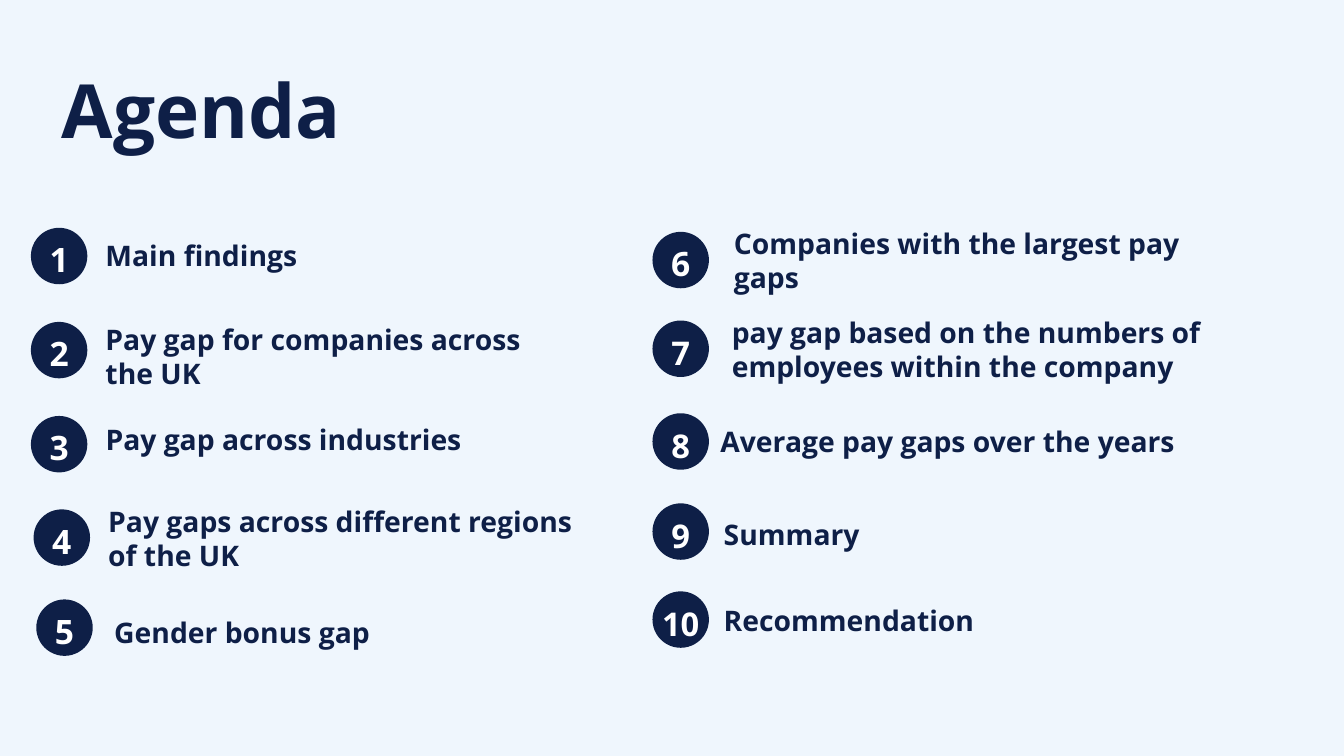
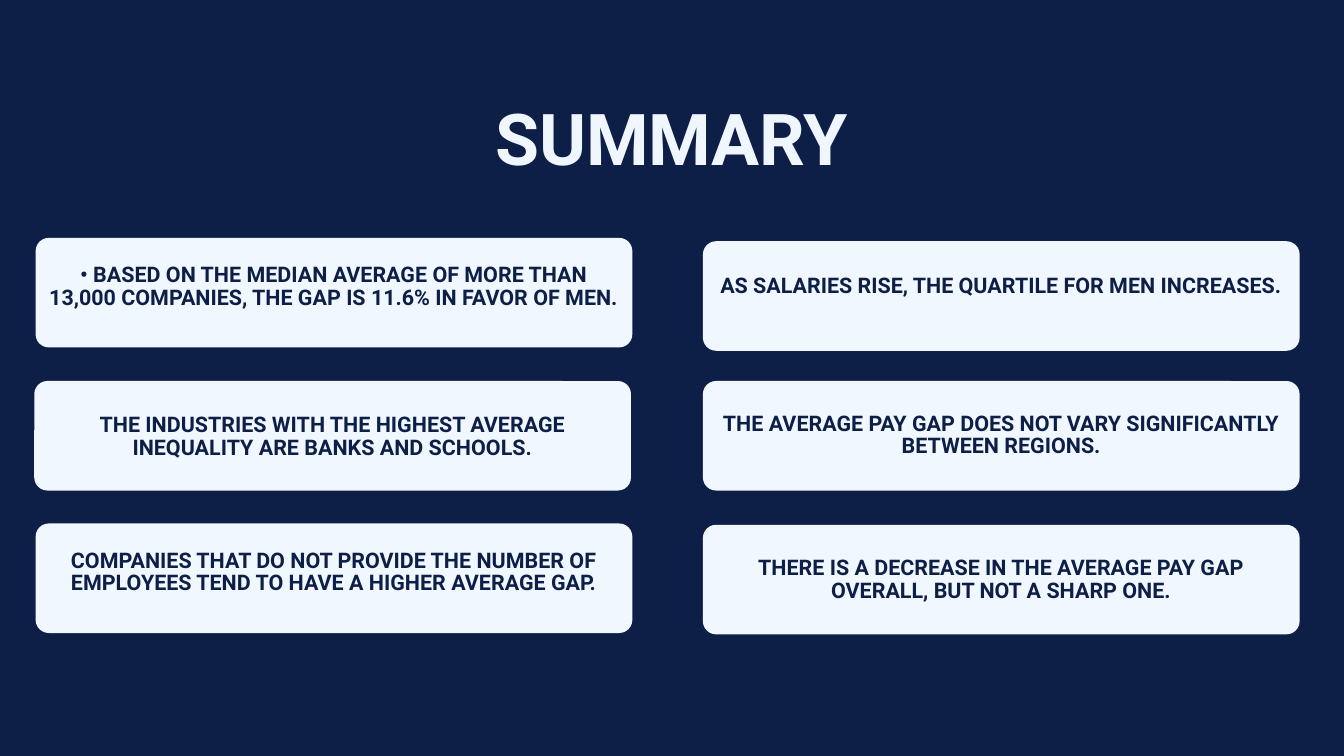
from pptx import Presentation
from pptx.dml.color import RGBColor
from pptx.enum.shapes import MSO_SHAPE
from pptx.enum.text import MSO_ANCHOR, MSO_AUTO_SIZE, PP_ALIGN
from pptx.util import Inches, Pt

NAVY = RGBColor(0x0E, 0x1F, 0x47)
PALE = RGBColor(0xEF, 0xF6, 0xFD)
CARD = RGBColor(0xF0, 0xF7, 0xFE)
WHITE = RGBColor(0xFF, 0xFF, 0xFF)

SLIDE_COLUMNS, SLIDE_ROWS = 20, 11.25
CELL = Inches(1)
TITLE_ONLY = 5

FRAME = {
    "margin_left": 0, "margin_right": 0, "margin_top": 0, "margin_bottom": 0,
    "word_wrap": True, "auto_size": MSO_AUTO_SIZE.NONE,
    "vertical_anchor": MSO_ANCHOR.TOP,
}


def style(font_name, size, line, color, alignment=PP_ALIGN.LEFT):
    return {
        "font": {"name": font_name, "size": Pt(size), "bold": True},
        "color": color,
        "paragraph": {"alignment": alignment, "line_spacing": Pt(line)},
    }


AGENDA_TITLE = style("Open Sans", 80, 96, NAVY)
AGENDA_TEXT = style("Open Sans", 30.3, 36.4, NAVY)
NUMBER = style("Open Sans", 36, 56.5, WHITE, PP_ALIGN.CENTER)
SMALL_NUMBER = style("Open Sans", 35, 55, WHITE, PP_ALIGN.CENTER)
SUMMARY_TITLE = style("Roboto", 76.6, 81.2, PALE, PP_ALIGN.CENTER)
CARD_TEXT = style("Roboto", 23, 24.4, NAVY, PP_ALIGN.CENTER)

CIRCLE_SIZE = 0.84
CARD_WIDTH, CARD_HEIGHT = 8.88, 1.63
CARD_TOP, CARD_PITCH = 3.54, 2.13
CARD_LEFTS = (0.53, 10.46)

# text, circle column and row, text offset across and down, text width
AGENDA = [
    ("Main findings", 0.46, 3.39, 1.11, 0.16, 3.07),
    ("Pay gap for companies across the UK", 0.46, 4.79, 1.11, 0, 6.84),
    ("Pay gap across industries", 0.46, 6.19, 1.11, 0.09, 5.39),
    ("Pay gaps across different regions of the UK", 0.5, 7.58, 1.11, -0.08, 7.29),
    ("Gender bonus gap", 0.54, 8.92, 1.16, 0.23, 4.02),
    ("Companies with the largest pay gaps", 9.71, 3.45, 1.21, -0.08, 7.02),
    ("pay gap based on the numbers of employees within the company",
     9.71, 4.77, 1.18, -0.08, 7.11),
    ("Average pay gaps over the years", 9.71, 6.15, 1.01, 0.17, 7.11),
    ("Summary", 9.71, 7.49, 1.06, 0.21, 7.11),
    ("Recommendation", 9.71, 8.8, 1.06, 0.17, 7.11),
]

FINDINGS = [
    [
        ("• BASED ON THE MEDIAN AVERAGE OF MORE THAN 13,000 COMPANIES, "
         "THE GAP IS 11.6% IN FAVOR OF MEN.", 0, 0, 0.39),
        ("THE INDUSTRIES WITH THE HIGHEST AVERAGE INEQUALITY ARE BANKS AND SCHOOLS.",
         -0.02, 0, 0.49),
        ("COMPANIES THAT DO NOT PROVIDE THE NUMBER OF EMPLOYEES TEND TO HAVE "
         "A HIGHER AVERAGE GAP.", 0, -0.01, 0.39),
    ],
    [
        ("AS SALARIES RISE, THE QUARTILE FOR MEN INCREASES.", 0, 0.05, 0.5),
        ("THE AVERAGE PAY GAP DOES NOT VARY SIGNIFICANTLY BETWEEN REGIONS.",
         0, 0, 0.47),
        ("THERE IS A DECREASE IN THE AVERAGE PAY GAP OVERALL, BUT NOT A SHARP ONE.",
         0, 0.01, 0.48),
    ],
]


def cells(*counts):
    return [round(count * CELL) for count in counts]


def set_values(target, values):
    for name, value in values.items():
        setattr(target, name, value)


def write(box, text, look):
    set_values(box.text_frame, FRAME)
    paragraph = box.text_frame.paragraphs[0]
    set_values(paragraph, look["paragraph"])
    span = paragraph.add_run()
    span.text = text
    set_values(span.font, look["font"])
    span.font.color.rgb = look["color"]


def add_text(page, text, look, *place):
    write(page.shapes.add_textbox(*cells(*place)), text, look)


def add_panel(page, preset, color, *place):
    panel = page.shapes.add_shape(preset, *cells(*place))
    panel.shadow.inherit = False
    panel.fill.solid()
    panel.fill.fore_color.rgb = color
    panel.line.fill.background()
    return panel


def add_page(deck, background, title, look, *place):
    page = deck.slides.add_slide(deck.slide_layouts[TITLE_ONLY])
    page.background.fill.solid()
    page.background.fill.fore_color.rgb = background
    heading = page.shapes.title
    set_values(heading, dict(zip(("left", "top", "width", "height"), cells(*place))))
    write(heading, title, look)
    return page


def add_agenda_item(page, number, text, left, top, across, down, width):
    add_panel(page, MSO_SHAPE.OVAL, NAVY, left, top, CIRCLE_SIZE, CIRCLE_SIZE)
    look = NUMBER if number < 7 else SMALL_NUMBER
    number_top = top - 0.02 if number < 7 else top
    add_text(page, str(number), look, left + 0.12, number_top, 0.6, 0.72)
    height = 1 if down <= 0 else 0.5
    add_text(page, text, AGENDA_TEXT, left + across, top + down, width, height)


def add_card(page, text, left, top, text_down):
    card = add_panel(page, MSO_SHAPE.ROUNDED_RECTANGLE, CARD,
                     left, top, CARD_WIDTH, CARD_HEIGHT)
    card.adjustments[0] = 0.12
    add_text(page, text, CARD_TEXT, left + 0.14, top + text_down, 8.6, 0.67)


def build_agenda(deck):
    page = add_page(deck, PALE, "Agenda", AGENDA_TITLE, 0.92, 0.95, 4.66, 1.33)
    for number, item in enumerate(AGENDA, start=1):
        add_agenda_item(page, number, *item)


def build_summary(deck):
    page = add_page(deck, NAVY, "SUMMARY", SUMMARY_TITLE, 5.89, 1.54, 8.21, 1.17)
    for left, column in zip(CARD_LEFTS, FINDINGS):
        for row, (text, shift, drop, text_down) in enumerate(column):
            top = CARD_TOP + row * CARD_PITCH + drop
            add_card(page, text, left + shift, top, text_down)


def main():
    deck = Presentation()
    deck.slide_width, deck.slide_height = cells(SLIDE_COLUMNS, SLIDE_ROWS)
    build_agenda(deck)
    build_summary(deck)
    deck.save("out.pptx")


if __name__ == "__main__":
    main()
